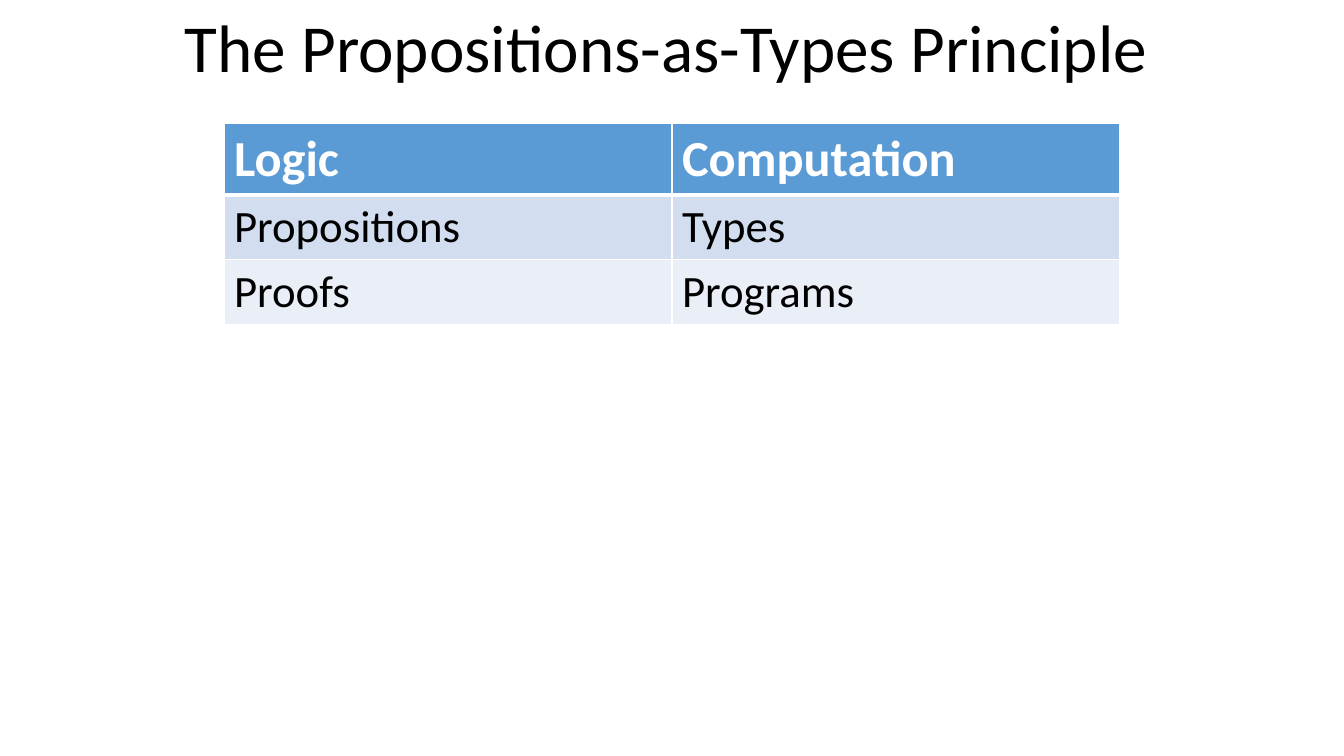
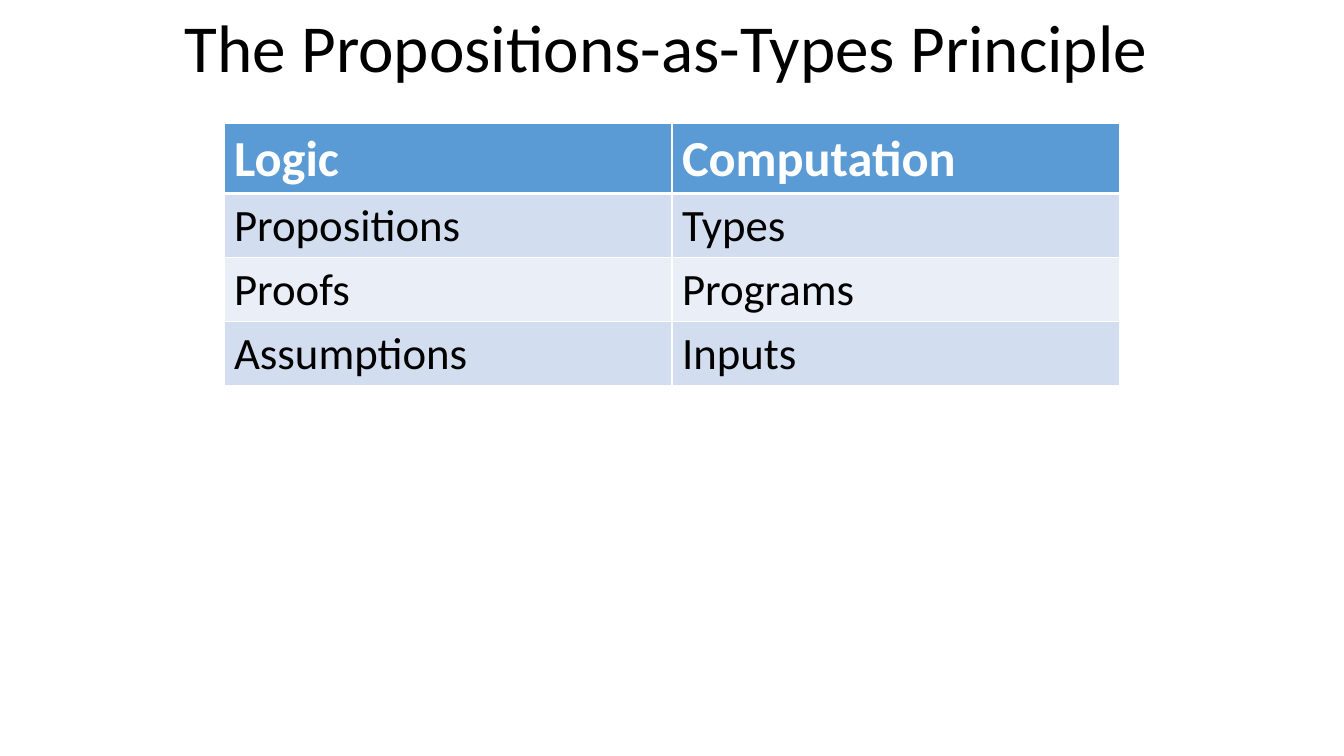
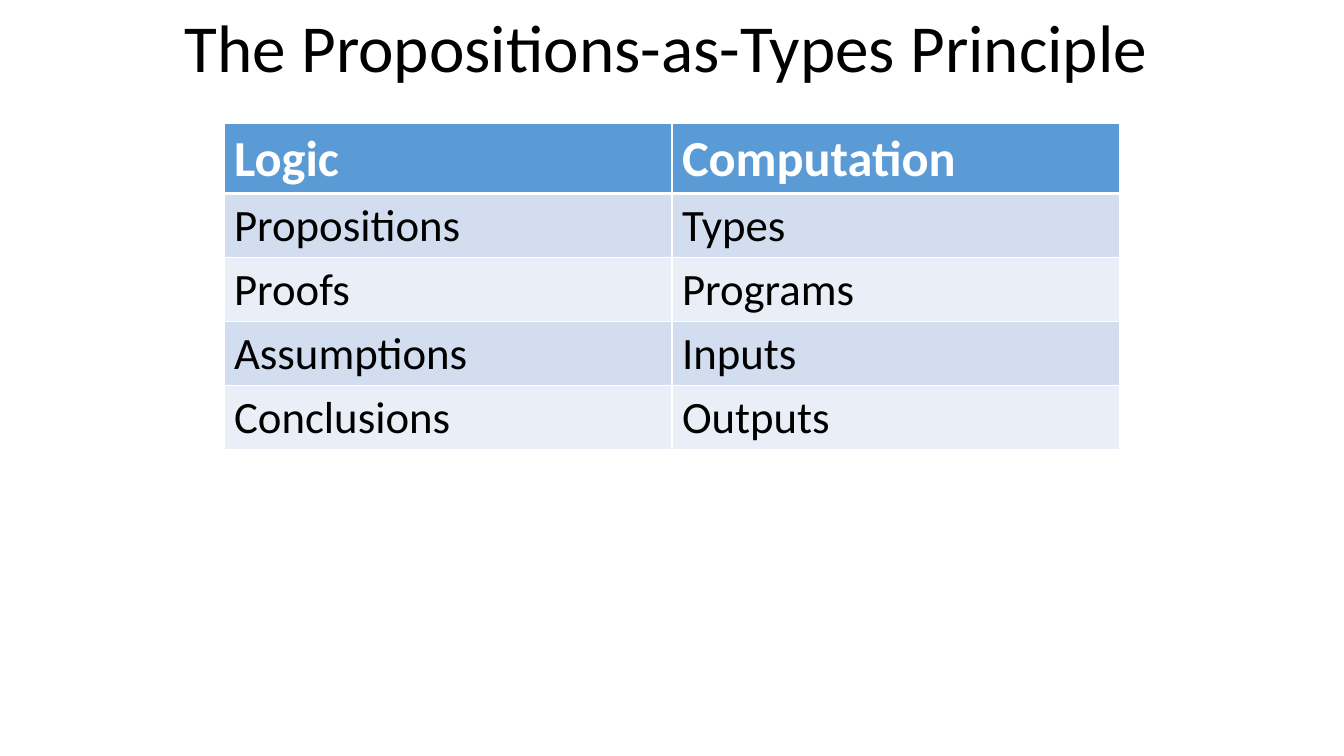
from lxml.etree import SubElement
from pptx import Presentation
from pptx.dml.color import RGBColor
from pptx.enum.text import MSO_AUTO_SIZE
from pptx.oxml.ns import qn
from pptx.util import Emu, Pt

TITLE = "The Propositions-as-Types Principle"
HEADER = ("Logic", "Computation")
PAIRS = [
    ("Propositions", "Types"),
    ("Proofs", "Programs"),
    ("Assumptions", "Inputs"),
    ("Conclusions", "Outputs"),
]
PAIRS_SHOWN = (2, 3, 4)

BLACK = RGBColor(0x00, 0x00, 0x00)
WHITE = RGBColor(0xFF, 0xFF, 0xFF)
HEADER_BLUE = RGBColor(0x5B, 0x9B, 0xD5)
BANDS = (RGBColor(0xD2, 0xDE, 0xEF), RGBColor(0xEA, 0xEF, 0xF7))

FONT = "Calibri"
TITLE_FORMAT = {"name": FONT, "size": Pt(48), "color": BLACK}
HEADER_FORMAT = {"name": FONT, "size": Pt(36), "color": WHITE, "bold": True}
BODY_FORMAT = {"name": FONT, "size": Pt(32), "color": BLACK, "bold": False}

SLIDE_WIDTH, SLIDE_HEIGHT = 1344, 756
TITLE_BOX = (175, 0, 994, 92)
TABLE_LEFT, TABLE_TOP = 224, 123
COLUMN_WIDTH, HEADER_HEIGHT, ROW_HEIGHT = 448, 70, 64
THIN, THICK = Pt(1), Pt(3)


def px(length):
    return Emu(round(length * 12192000 / SLIDE_WIDTH))


def write(frame, text, text_format):
    span = frame.paragraphs[0].add_run()
    span.text = text
    for name, value in text_format.items():
        if name == "color":
            span.font.color.rgb = value
        else:
            setattr(span.font, name, value)


def add_borders(cell, top, bottom):
    """Draw white borders; call before filling, as the schema puts lines first."""
    properties = cell._tc.get_or_add_tcPr()
    for side, width in {"L": THIN, "R": THIN, "T": top, "B": bottom}.items():
        line = SubElement(properties, qn(f"a:ln{side}"), w=str(width))
        fill = SubElement(line, qn("a:solidFill"))
        SubElement(fill, qn("a:srgbClr"), val=str(WHITE))


def add_title(page):
    box = page.shapes.add_textbox(*map(px, TITLE_BOX))
    box.text_frame.word_wrap = False
    box.text_frame.auto_size = MSO_AUTO_SIZE.SHAPE_TO_FIT_TEXT
    write(box.text_frame, TITLE, TITLE_FORMAT)


def add_pairs_table(page, pairs):
    rows = [HEADER, *pairs]
    width = COLUMN_WIDTH * len(HEADER)
    height = HEADER_HEIGHT + ROW_HEIGHT * len(pairs)
    table = page.shapes.add_table(
        len(rows), len(HEADER), *map(px, (TABLE_LEFT, TABLE_TOP, width, height))
    ).table
    for column in table.columns:
        column.width = px(COLUMN_WIDTH)
    for index, texts in enumerate(rows):
        is_header = index == 0
        table.rows[index].height = px(HEADER_HEIGHT if is_header else ROW_HEIGHT)
        color = HEADER_BLUE if is_header else BANDS[(index - 1) % len(BANDS)]
        for column_index, text in enumerate(texts):
            cell = table.cell(index, column_index)
            add_borders(cell, THICK if index == 1 else THIN, THICK if is_header else THIN)
            cell.fill.solid()
            cell.fill.fore_color.rgb = color
            write(cell.text_frame, text, HEADER_FORMAT if is_header else BODY_FORMAT)


def main():
    deck = Presentation()
    deck.slide_width, deck.slide_height = px(SLIDE_WIDTH), px(SLIDE_HEIGHT)
    for count in PAIRS_SHOWN:
        page = deck.slides.add_slide(deck.slide_layouts[6])
        add_pairs_table(page, PAIRS[:count])
        add_title(page)
    deck.save("out.pptx")


if __name__ == "__main__":
    main()
